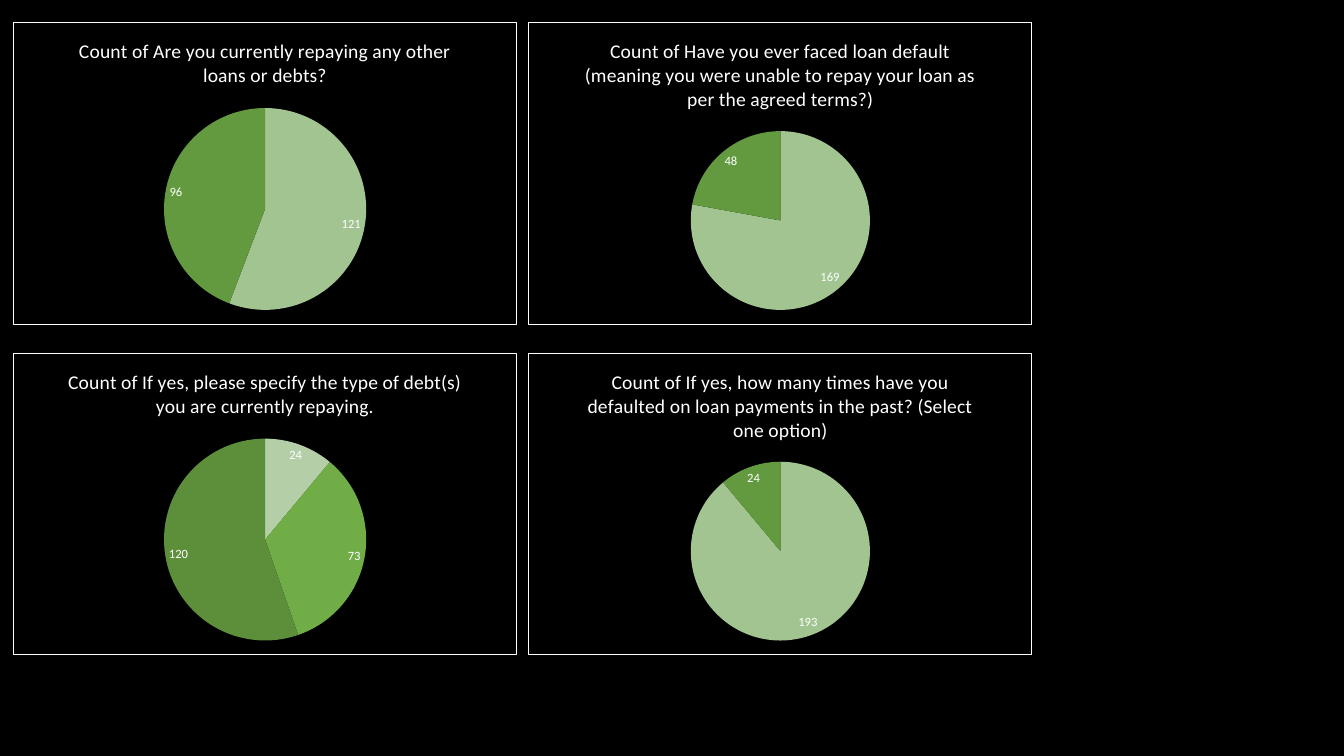
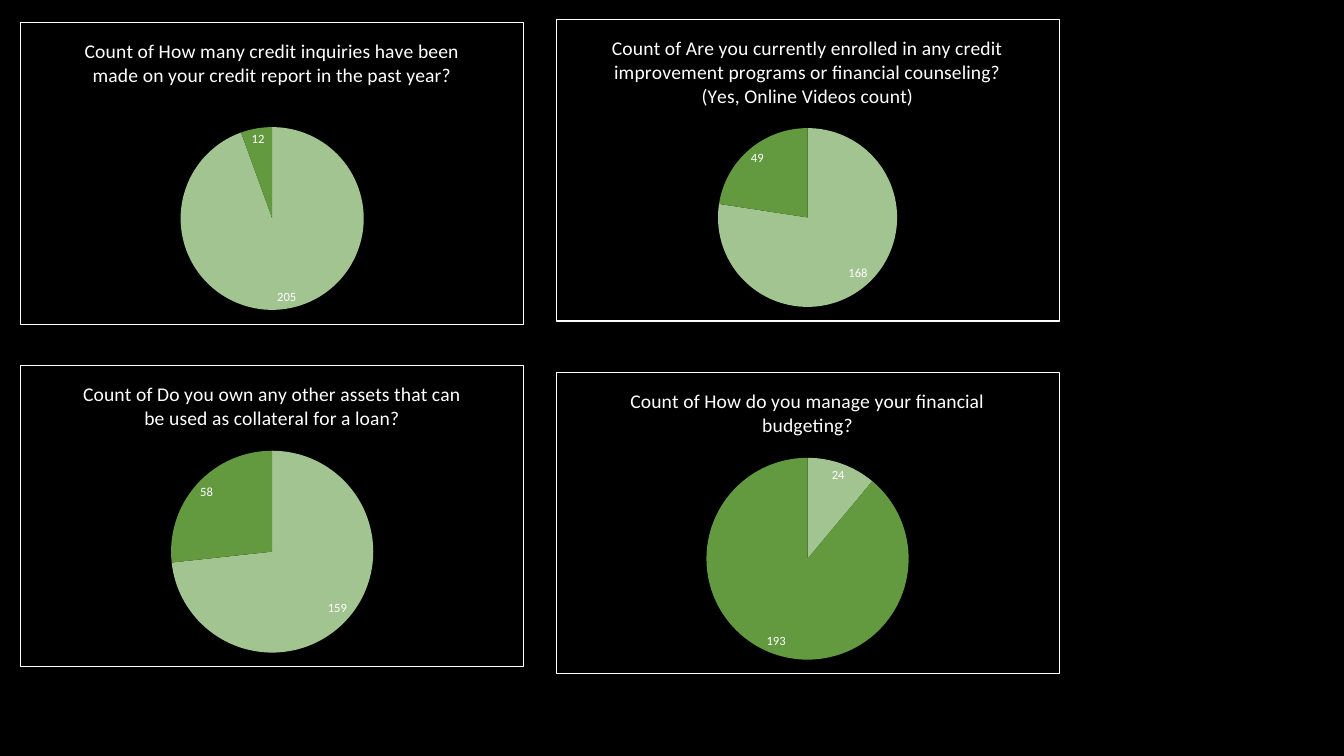
from lxml import etree
from pptx import Presentation
from pptx.chart.data import CategoryChartData
from pptx.dml.color import RGBColor
from pptx.enum.chart import XL_CHART_TYPE, XL_LABEL_POSITION
from pptx.oxml import parse_xml
from pptx.oxml.ns import nsdecls, qn
from pptx.util import Inches, Pt

PIE = XL_CHART_TYPE.PIE
BEST = XL_LABEL_POSITION.BEST_FIT

BLACK, WHITE = "000000", "FFFFFF"
PAIR = ["A1C490", "639A3F"]
TRIO = ["B4CFA8", "70AD47", "5D8F3B"]
WIDE, HIGH = 5, 3
BASE = 2.86
LARGE, MID, SMALL = 2.01, 1.82, 1.78


def color(code):
    return RGBColor.from_string(code)


class Deck:
    face = "Calibri"

    def __init__(self):
        self.show = Presentation()
        self.show.slide_width = Inches(13.33)
        self.show.slide_height = Inches(7.5)

    def page(self):
        self.slide = self.show.slides.add_slide(self.show.slide_layouts[6])
        fill = self.slide.background.fill
        fill.solid()
        fill.fore_color.rgb = color(BLACK)

    def style(self, font, size):
        font.name = self.face
        font.size = Pt(size)
        font.bold = False
        font.color.rgb = color(WHITE)

    def frame(self, space):
        space.find(qn("c:chart")).addnext(parse_xml(
            f'<c:spPr {nsdecls("c", "a")}><a:noFill/><a:ln w="{Pt(0.75)}">'
            f'<a:solidFill><a:srgbClr val="{WHITE}"/></a:solidFill>'
            '</a:ln></c:spPr>'))

    def place(self, area, size):
        for old in area.findall(qn("c:layout")):
            area.remove(old)
        layout = parse_xml(f'<c:layout {nsdecls("c")}/>')
        box = etree.SubElement(layout, qn("c:manualLayout"))
        spots = {
            "layoutTarget": "inner", "xMode": "edge", "yMode": "edge",
            "x": (WIDE - size) / 2 / WIDE, "y": (BASE - size) / HIGH,
            "w": size / WIDE, "h": size / HIGH,
        }
        for name, val in spots.items():
            etree.SubElement(box, qn(f"c:{name}")).set("val", str(val))
        area.insert(0, layout)

    def pie(self, left, top, title, vals, size=LARGE, tones=PAIR):
        data = CategoryChartData()
        data.categories = [str(n + 1) for n in range(len(vals))]
        data.add_series("Series 1", vals)
        chart = self.slide.shapes.add_chart(
            PIE, Inches(left), Inches(top), Inches(WIDE), Inches(HIGH), data
        ).chart
        self.style(chart.font, 10)
        chart.has_legend = False
        chart.has_title = True
        chart.chart_title.include_in_layout = False
        text = chart.chart_title.text_frame
        text.text = title
        self.style(text.paragraphs[0].font, 14)

        plot = chart.plots[0]
        plot.vary_by_categories = True
        series = plot.series[0]
        for n, tone in enumerate(tones):
            part = series.points[n].format
            part.fill.solid()
            part.fill.fore_color.rgb = color(tone)
            part.line.fill.background()
        labels = series.data_labels
        labels.show_value = True
        labels.position = BEST
        self.style(labels.font, 9)

        space = chart._chartSpace
        self.frame(space)
        self.place(space.find(".//" + qn("c:plotArea")), size)


deck = Deck()

deck.page()
deck.pie(0.13, 0.22, "Count of Are you currently repaying any other loans or debts?",
         [121, 96])
deck.pie(0.13, 3.5, "Count of If yes, please specify the type of debt(s) "
         "you are currently repaying.", [24, 73, 120], tones=TRIO)
deck.pie(5.24, 0.22, "Count of Have you ever faced loan default (meaning you were "
         "unable to repay your loan as per the agreed terms?)", [169, 48], SMALL)
deck.pie(5.24, 3.5, "Count of If yes, how many times have you defaulted on loan "
         "payments in the past? (Select one option)", [193, 24], SMALL)

deck.page()
deck.pie(0.2, 0.22, "Count of How many credit inquiries have been made on your "
         "credit report in the past year?", [205, 12], MID)
deck.pie(0.2, 3.62, "Count of Do you own any other assets that can be used as "
         "collateral for a loan?", [159, 58])
deck.pie(5.51, 0.19, "Count of Are you currently enrolled in any credit improvement "
         "programs or financial counseling? (Yes, Online Videos count)",
         [168, 49], SMALL)
deck.pie(5.51, 3.69, "Count of How do you manage your financial budgeting?",
         [24, 193])

deck.show.save("out.pptx")
